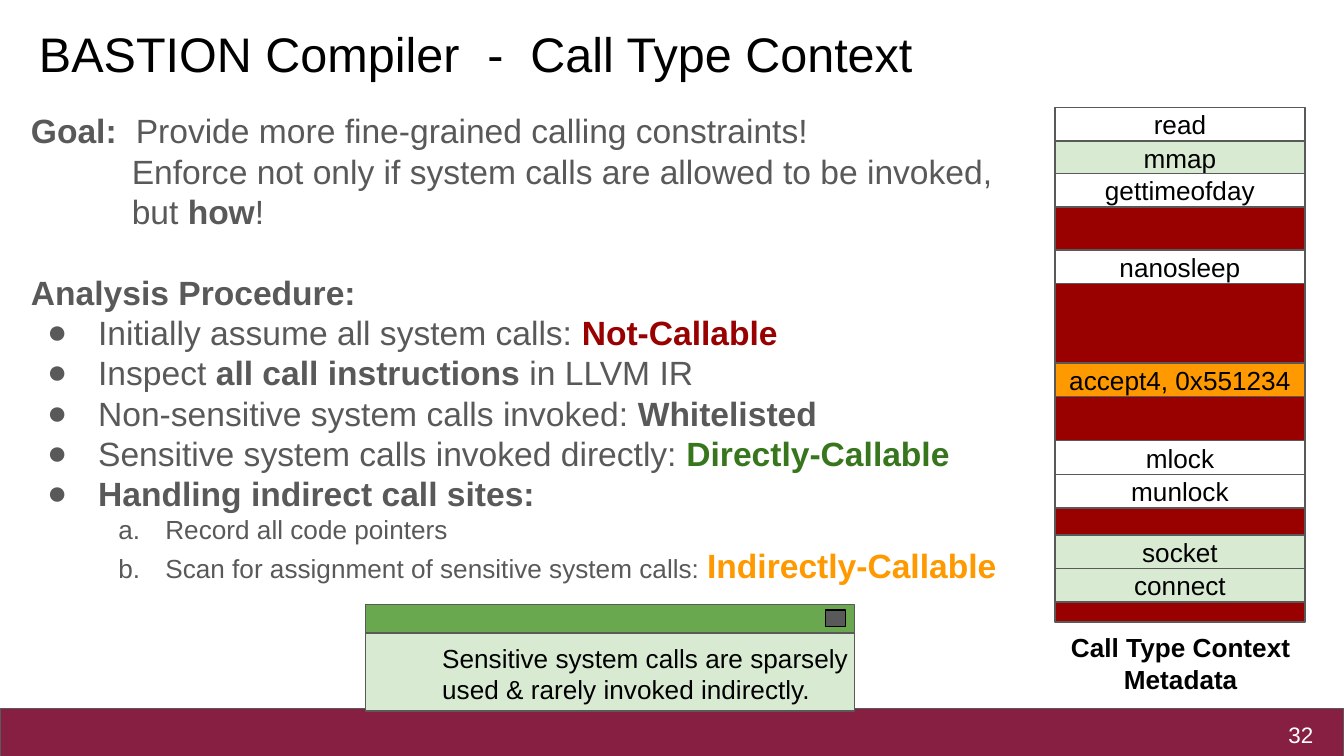
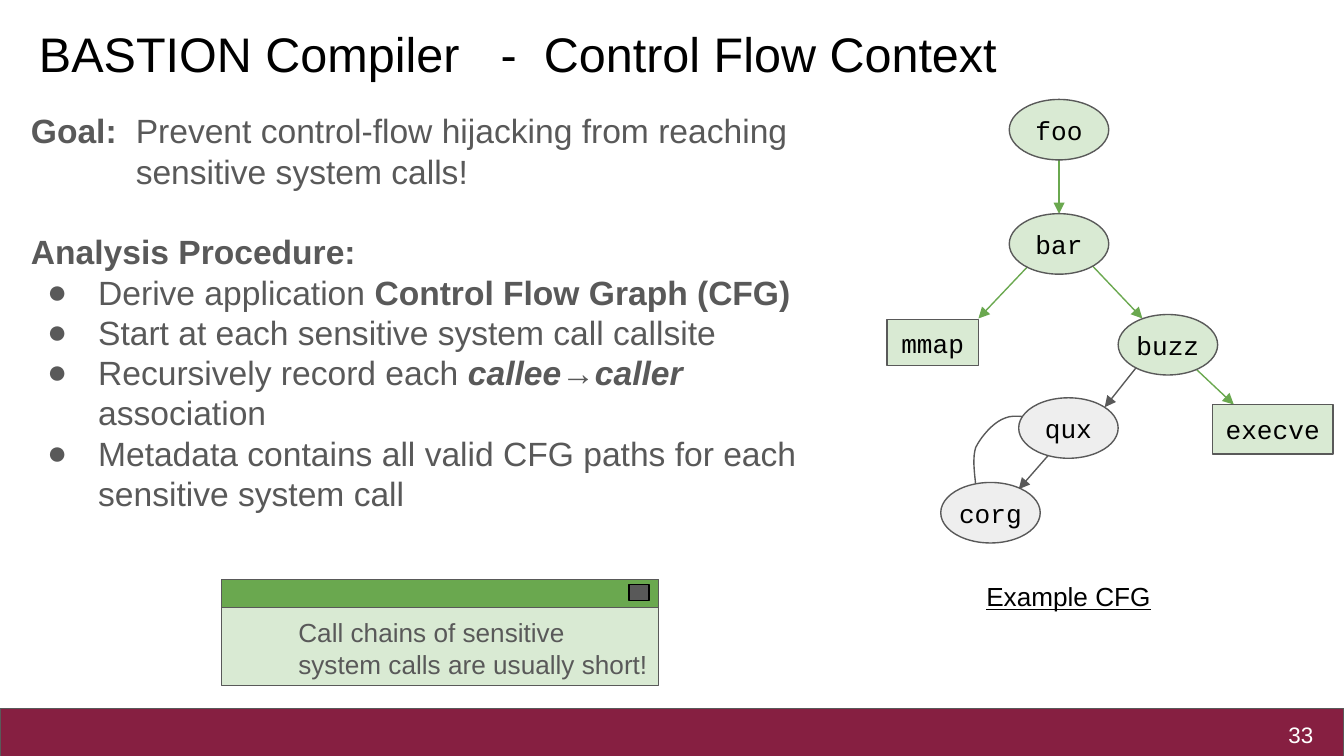
from lxml.etree import SubElement
from pptx import Presentation
from pptx.dml.color import RGBColor
from pptx.enum.shapes import MSO_CONNECTOR, MSO_SHAPE
from pptx.enum.text import MSO_ANCHOR, MSO_AUTO_SIZE, PP_ALIGN
from pptx.oxml.ns import qn
from pptx.util import Inches, Pt

# Shared look
INK, GRAY, WHITE = "000000", "595959", "FFFFFF"
MAROON, RED, ORANGE = "861F41", "990000", "FF9900"
PALE, GREEN, DARK, SILVER = "D9EAD3", "6AA84F", "38761D", "EEEEEE"
RECT, OVAL = MSO_SHAPE.RECTANGLE, MSO_SHAPE.OVAL
BASE = dict(name="Arial", size=14, color=INK, bold=False, italic=False)
CODE = dict(name="Courier New")
BOLD = dict(bold=True)
LEFT, MID, RIGHT = PP_ALIGN.LEFT, PP_ALIGN.CENTER, PP_ALIGN.RIGHT
PAD = (0.1, 0.1, 0.1, 0.1)


def rgb(code):
    return RGBColor.from_string(code)


def style(font, **look):
    for key, value in {**BASE, **look}.items():
        if key == "color":
            font.color.rgb = rgb(value)
        else:
            setattr(font, key, Pt(value) if key == "size" else value)


def frame(shape, pad=PAD, anchor=MSO_ANCHOR.TOP):
    text = shape.text_frame
    sides = ("left", "top", "right", "bottom")
    values = {"margin_" + s: Inches(v) for s, v in zip(sides, pad)}
    values.update(word_wrap=True, auto_size=MSO_AUTO_SIZE.NONE,
                  vertical_anchor=anchor)
    for key, value in values.items():
        setattr(text, key, value)
    return text


def write(para, runs, align=LEFT, **look):
    """Add runs, each a string or a (string, look) pair."""
    para.alignment = align
    for item in runs:
        words, extra = (item, {}) if isinstance(item, str) else item
        run = para.add_run()
        run.text = words
        style(run.font, **{**look, **extra})


def area(x, y, w, h):
    return [Inches(v) for v in (x, y, w, h)]


def label(slide, box, words, align=LEFT, pad=PAD, anchor=MSO_ANCHOR.TOP, **look):
    text = frame(slide.shapes.add_textbox(*area(*box)), pad, anchor)
    write(text.paragraphs[0], [words], align, **look)


def block(slide, box, fill, words="", kind=RECT, line=GRAY, pad=PAD, **look):
    shape = slide.shapes.add_shape(kind, *area(*box))
    shape.shadow.inherit = False
    shape.fill.solid()
    shape.fill.fore_color.rgb = rgb(fill)
    shape.line.color.rgb = rgb(line)
    shape.line.width = Pt(0.75)
    if words:
        text = frame(shape, pad, MSO_ANCHOR.MIDDLE)
        write(text.paragraphs[0], [words], MID, **look)


def point(shape, color):
    """Thin line with an arrowhead at its end."""
    shape.line.color.rgb = rgb(color)
    shape.line.width = Pt(0.75)
    SubElement(shape.line._get_or_add_ln(), qn("a:tailEnd"), type="triangle")


# Title, band and page number
def page(deck, width, topic, gap, number):
    slide = deck.slides.add_slide(deck.slide_layouts[5])
    block(slide, (0, 5.27, 10, 0.37), MAROON)
    title = slide.shapes.title
    spot = zip(("left", "top", "width", "height"), area(0.19, 0.08, width, 0.63))
    for key, value in spot:
        setattr(title, key, value)
    para = frame(title).paragraphs[0]
    write(para, ["BASTION Compiler", " ", "-", " ", topic], size=26)
    # Widen the spaces around the dash
    for i, wide in ((1, gap), (3, 7.2)):
        para.runs[i].font._element.set("spc", str(round(wide * 100)))
    label(slide, (9.27, 5.28, 0.6, 0.37), str(number), RIGHT,
          anchor=MSO_ANCHOR.MIDDLE, size=12, color=WHITE)
    return slide


# Body text: kind of paragraph -> left margin, indent, bullet, size
KINDS = {
    "goal": (0.78, -0.78, None, 18),
    "more": (0.75, 0, None, 18),
    "head": (0, 0, None, 18),
    "item": (0.5, -0.38, ("a:buChar", {"char": "●"}), 18),
    "step": (1, -0.35, ("a:buAutoNum", {"type": "alphaLcPeriod"}), 14),
}


def body(slide, box, paras):
    text = frame(slide.shapes.add_textbox(*area(*box)), (0.04, 0.03, 0.03, 0.03))
    for i, (kind, *runs) in enumerate(paras):
        para = text.add_paragraph() if i else text.paragraphs[0]
        margin, indent, mark, size = KINDS[kind]
        if kind == "head":
            para.space_before = Pt(21.6)
        write(para, runs, size=size, color=GRAY)
        prop = para._p.get_or_add_pPr()
        prop.set("marL", str(Inches(margin)))
        prop.set("indent", str(Inches(indent)))
        if mark:
            tint = SubElement(prop, qn("a:buClr"))
            SubElement(tint, qn("a:srgbClr"), val=GRAY)
            SubElement(prop, qn("a:buFont"), typeface="Arial")
            SubElement(prop, qn(mark[0]), **mark[1])


# Window-like note
def note(slide, x, y, w, words, color):
    block(slide, (x, y + 0.21, w, 0.58), PALE)
    label(slide, (x + 0.52, y + 0.23, w - 0.51, 0.58), words,
          pad=(0.05, 0.05, 0.05, 0.04), color=color)
    block(slide, (x, y, w, 0.21), GREEN)
    block(slide, (x + w - 0.22, y + 0.04, 0.15, 0.12), GRAY, line=INK)


# Stack of system calls
def stack(slide, x, y, w):
    block(slide, (x, y + 0.07, w, 3.76), RED)
    calls = [
        ("read", 0, WHITE), ("mmap", 0.25, PALE), ("gettimeofday", 0.49, WHITE),
        ("nanosleep", 1.06, WHITE), ("accept4, 0x551234", 1.9, ORANGE),
        ("mlock", 2.48, WHITE), ("munlock", 2.73, WHITE),
        ("socket", 3.18, PALE), ("connect", 3.43, PALE),
    ]
    for name, top, fill in calls:
        block(slide, (x, y + top, w, 0.25), fill, name)
    label(slide, (x - 0.03, y + 3.8, w + 0.07, 0.63),
          "Call Type Context Metadata", MID, bold=True)


# Control flow graph
def curve(start, *parts, steps=10):
    """Points along joined cubic curves."""
    points = [start]
    for a, b, end in parts:
        for i in range(1, steps + 1):
            t = i / steps
            u = 1 - t
            points.append(tuple(
                u**3 * p + 3 * u * u * t * q + 3 * u * t * t * r + t**3 * s
                for p, q, r, s in zip(start, a, b, end)))
        start = end
    return points


def graph(slide, x, y):
    edges = [
        (1.28, 0.45, 1.28, 0.85, GREEN), (1.05, 1.24, 0.68, 1.63, GREEN),
        (1.53, 1.24, 1.9, 1.63, GREEN), (2.25, 1.96, 2.58, 2.27, GREEN),
        (1.89, 1.95, 1.62, 2.29, GRAY), (1.26, 2.58, 0.98, 2.9, GRAY),
    ]
    for ax, ay, bx, by, color in edges:
        arrow = slide.shapes.add_connector(
            MSO_CONNECTOR.STRAIGHT, *area(x + ax, y + ay, x + bx, y + by))
        point(arrow, color)
        SubElement(arrow._element.spPr, qn("a:effectLst"))

    # Loop from corg back to qux
    trail = curve((0.66, 2.88),
                  ((0.66, 2.83), (0.63, 2.68), (0.66, 2.59)),
                  ((0.7, 2.51), (0.79, 2.4), (0.88, 2.37)),
                  ((0.97, 2.33), (1.14, 2.39), (1.19, 2.39)))
    spots = [(Inches(x + px), Inches(y + py)) for px, py in trail]
    pen = slide.shapes.build_freeform(*spots[0])
    pen.add_line_segments(spots[1:], close=False)
    loop = pen.convert_to_shape()
    loop.shadow.inherit = False
    loop.fill.background()
    point(loop, GRAY)

    ovals = [("foo", 0.91, 0, PALE), ("bar", 0.91, 0.85, PALE),
             ("buzz", 1.72, 1.6, PALE), ("qux", 0.98, 2.22, SILVER),
             ("corg", 0.4, 2.85, SILVER)]
    for name, left, top, fill in ovals:
        block(slide, (x + left, y + top, 0.74, 0.45), fill, name, OVAL,
              pad=(0, 0, 0, 0), **CODE)
    leaves = [("mmap", 0, 1.64, 0.68, 0.34), ("execve", 2.42, 2.27, 0.9, 0.37)]
    for name, left, top, w, h in leaves:
        block(slide, (x + left, y + top, w, h), PALE, name, **CODE)
    label(slide, (x + 0.64, y + 3.48, 1.7, 0.4), "Example CFG", underline=True)


def types(deck):
    slide = page(deck, 8.58, "Call Type Context", 7.2, 32)
    body(slide, (0.19, 0.79, 7.31, 4.42), [
        ("goal", ("Goal:\t", BOLD), "Provide more fine-grained calling constraints!"),
        ("more", "Enforce not only if system calls are allowed to be invoked, but ",
         ("how", BOLD), "!"),
        ("head", ("Analysis Procedure:", BOLD)),
        ("item", "Initially assume all system calls: ",
         ("Not-Callable", dict(BOLD, color=RED))),
        ("item", "Inspect ", ("all call instructions", BOLD), " in LLVM IR"),
        ("item", "Non-sensitive system calls invoked: ", ("Whitelisted", BOLD)),
        ("item", "Sensitive system calls invoked directly: ",
         ("Directly-Callable", dict(BOLD, color=DARK))),
        ("item", ("Handling indirect call sites:", BOLD)),
        ("step", "Record all code pointers"),
        ("step", "Scan for assignment of sensitive system calls: ",
         ("Indirectly-Callable", dict(BOLD, size=18, color=ORANGE))),
    ])
    stack(slide, 7.85, 0.8, 1.86)
    note(slide, 2.72, 4.5, 3.64,
         "Sensitive system calls are sparsely used & rarely invoked indirectly.", INK)


def flow(deck):
    slide = page(deck, 7.55, "Control Flow Context", 14.4, 33)
    body(slide, (0.19, 0.79, 6.19, 3.74), [
        ("goal", ("Goal:\t", BOLD),
         "Prevent control-flow hijacking from reaching sensitive system calls!"),
        ("head", ("Analysis Procedure:", BOLD)),
        ("item", "Derive application ", ("Control Flow Graph (CFG)", BOLD)),
        ("item", "Start at each sensitive system call callsite"),
        ("item", "Recursively record each ",
         ("callee→caller", dict(BOLD, italic=True)), " association"),
        ("item", "Metadata contains all valid CFG paths for each sensitive system call"),
    ])
    note(slide, 1.65, 4.31, 3.25,
         "Call chains of sensitive system calls are usually short!", GRAY)
    graph(slide, 6.6, 0.74)


def main():
    deck = Presentation()
    deck.slide_width = Inches(10)
    deck.slide_height = deck.slide_width * 9 // 16
    types(deck)
    flow(deck)
    deck.save("out.pptx")


if __name__ == "__main__":
    main()
